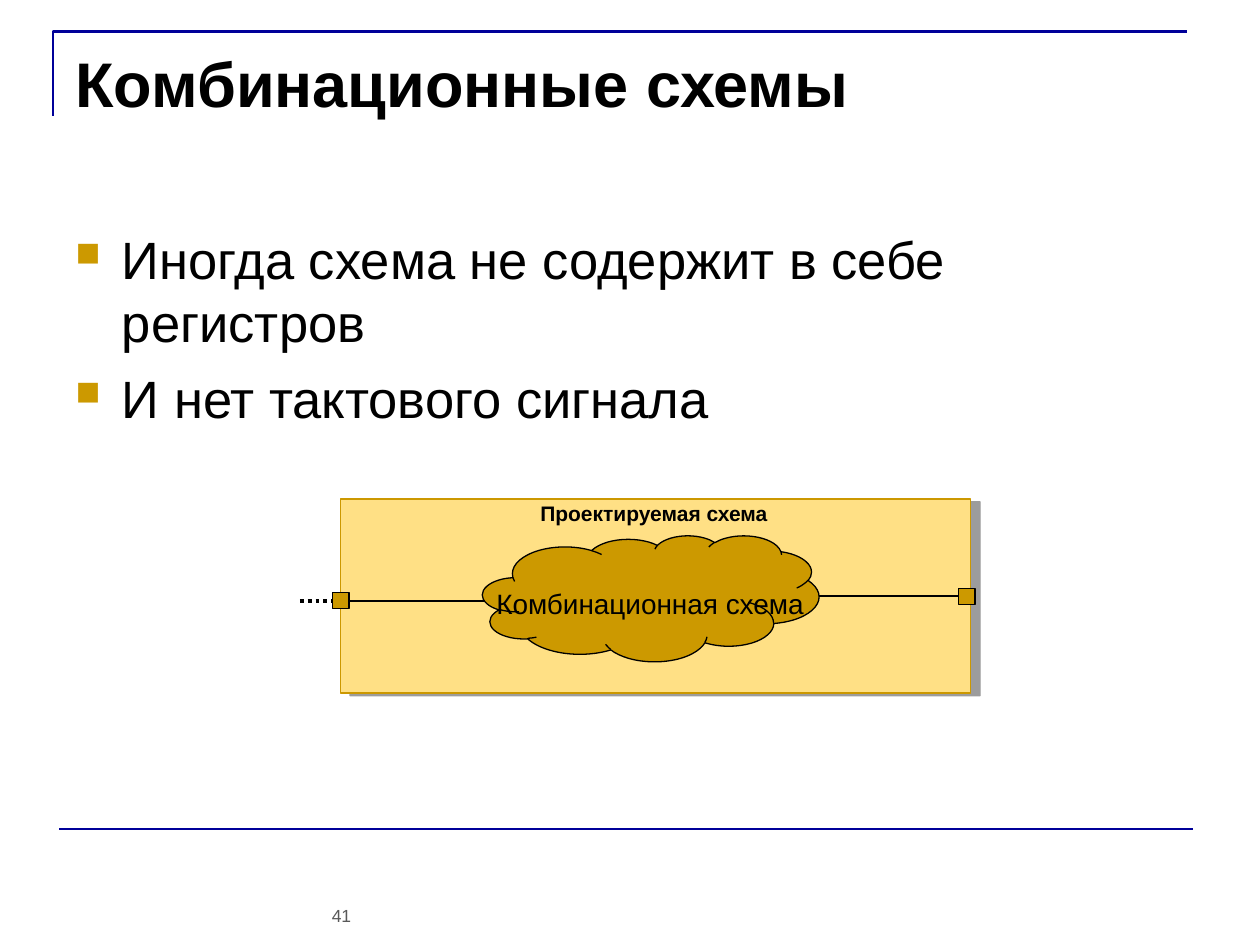
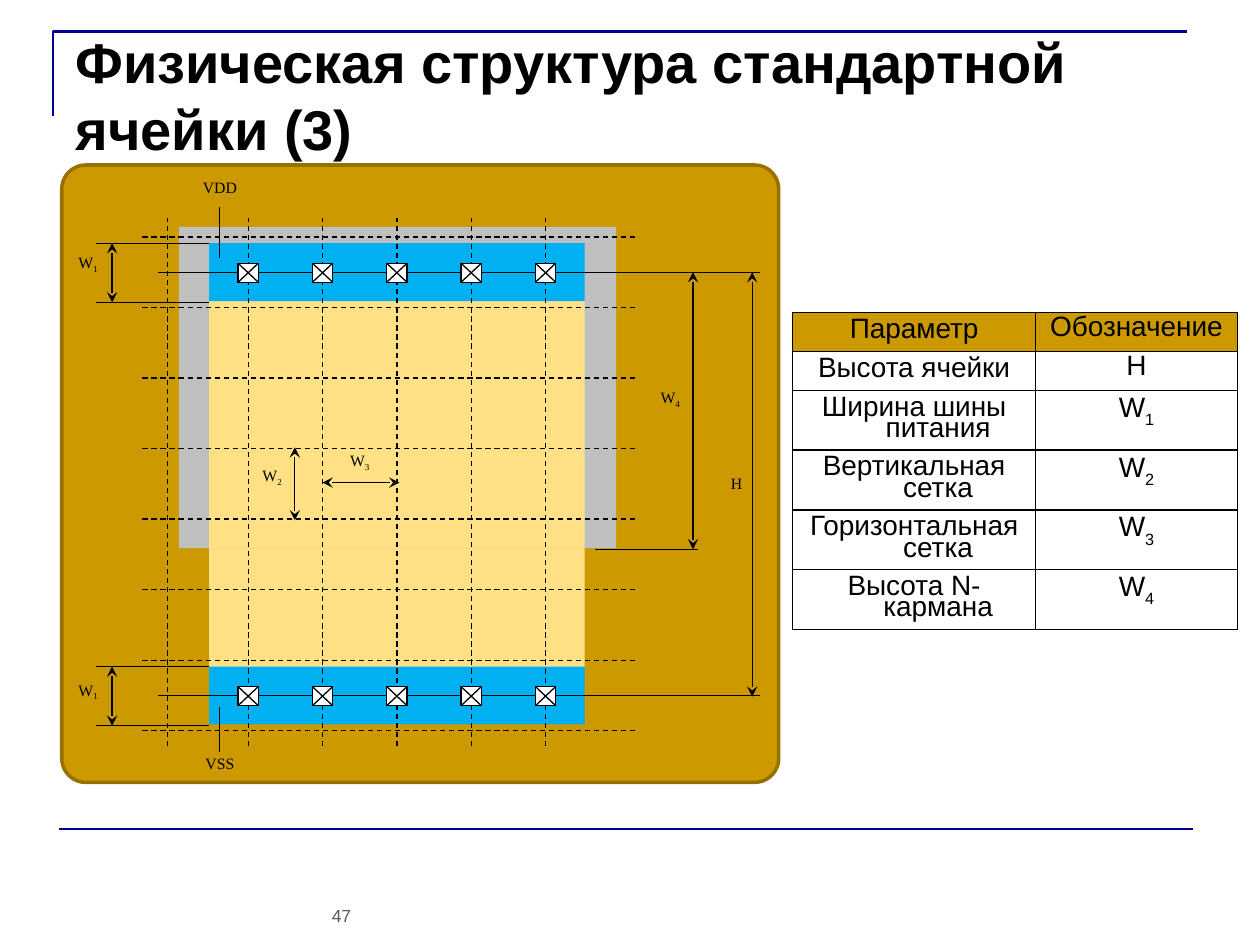
from lxml import etree
from pptx import Presentation
from pptx.dml.color import RGBColor
from pptx.enum.dml import MSO_LINE
from pptx.enum.shapes import MSO_CONNECTOR, MSO_SHAPE
from pptx.enum.text import MSO_ANCHOR, PP_ALIGN
from pptx.oxml import parse_xml
from pptx.oxml.ns import nsdecls, qn
from pptx.util import Inches, Pt

STRAIGHT = MSO_CONNECTOR.STRAIGHT
RECTANGLE, ROUNDED, CLOUD = MSO_SHAPE.RECTANGLE, MSO_SHAPE.ROUNDED_RECTANGLE, MSO_SHAPE.CLOUD
DASH, DOT = MSO_LINE.DASH, MSO_LINE.ROUND_DOT
LEFT, CENTER = PP_ALIGN.LEFT, PP_ALIGN.CENTER
TOP, MIDDLE = MSO_ANCHOR.TOP, MSO_ANCHOR.MIDDLE

BLACK, WHITE, NAVY, GRAY = "000000", "FFFFFF", "000099", "595959"
GOLD, DARK_GOLD, CREAM = "CC9900", "977100", "FFE085"
WELL_GRAY, RAIL_BLUE = "BFBFBF", "00B0F0"
SANS, SERIF = "Arial", "Times New Roman"


def color(value):
    return RGBColor.from_string(value)


def add_xml(parent, xml):
    """Append a DrawingML element whose opening tag carries {ns} for the namespace."""
    parent.append(parse_xml(xml.format(ns=nsdecls("a"))))


class Deck:
    """Holds the shared style and the slide being drawn."""

    def __init__(self):
        self.presentation = Presentation()
        self.presentation.slide_width = Inches(10)
        self.presentation.slide_height = Inches(7.5)
        self.slide = None

    def new_slide(self, number):
        self.slide = self.presentation.slides.add_slide(self.presentation.slide_layouts[6])
        builder = self.slide.shapes.build_freeform(Inches(0.42), Inches(0.92))
        corner = [(Inches(0.42), Inches(0.25)), (Inches(9.42), Inches(0.25))]
        builder.add_line_segments(corner, close=False)
        self.paint(builder.convert_to_shape(), None, NAVY, 1.5)
        self.line(0.47, 6.58, 9.47, 6.58, 1.5, NAVY)
        self.text(2.5, 7.13, 0.42, 0.27, [number], 10, GRAY, align=CENTER)

    def title(self, text, top, width, size):
        self.text(0.5, top, width, 1.25, [text], size, bold=True)

    def paint(self, shape, fill, line=None, width=0.75):
        shape.shadow.inherit = False
        if fill:
            shape.fill.solid()
            shape.fill.fore_color.rgb = color(fill)
        else:
            shape.fill.background()
        if line:
            shape.line.color.rgb = color(line)
            shape.line.width = Pt(width)
        else:
            shape.line.fill.background()

    def shape(self, kind, left, top, width, height, fill, line=None, line_width=0.75, rounding=None):
        shape = self.slide.shapes.add_shape(
            kind, Inches(left), Inches(top), Inches(width), Inches(height))
        if rounding is not None:
            shape.adjustments[0] = rounding
        self.paint(shape, fill, line, line_width)
        return shape

    def drop_shadow(self, shape):
        effects = shape._element.spPr.find(qn("a:effectLst"))
        add_xml(effects, '<a:outerShdw {ns} blurRad="0" dist="74930" dir="960000" algn="tl" '
                         'rotWithShape="0"><a:srgbClr val="000000"><a:alpha val="38000"/>'
                         '</a:srgbClr></a:outerShdw>')

    def line(self, x1, y1, x2, y2, width=0.75, line_color=BLACK, dash=None, arrows=False):
        connector = self.slide.shapes.add_connector(
            STRAIGHT, Inches(x1), Inches(y1), Inches(x2), Inches(y2))
        connector.line.color.rgb = color(line_color)
        connector.line.width = Pt(width)
        if dash:
            connector.line.dash_style = dash
        if arrows:
            for end in ("headEnd", "tailEnd"):
                add_xml(connector.line._get_or_add_ln(), f'<a:{end} {{ns}} type="stealth"/>')
        etree.SubElement(connector._element.spPr, qn("a:effectLst"))

    def style(self, paragraph, text, size, text_color=BLACK, font=SANS, bold=False,
              align=LEFT, drop=-25):
        """Write text in one paragraph; what follows an underscore becomes a subscript."""
        paragraph.alignment = align
        paragraph.font.name = font
        paragraph.font.size = Pt(size)
        paragraph.font.bold = bold
        paragraph.font.color.rgb = color(text_color)
        base, _, subscript = text.partition("_")
        paragraph.add_run().text = base
        if subscript:
            run = paragraph.add_run()
            run.text = subscript
            run._r.get_or_add_rPr().set("baseline", str(drop * 1000))

    def text(self, left, top, width, height, lines, size, text_color=BLACK, bulleted=False, **style):
        box = self.slide.shapes.add_textbox(
            Inches(left), Inches(top), Inches(width), Inches(height))
        frame = box.text_frame
        frame.word_wrap = True
        for index, line in enumerate(lines):
            paragraph = frame.add_paragraph() if index else frame.paragraphs[0]
            if index:
                paragraph.space_before = Pt(7.5)
            if bulleted:
                self.bullet(paragraph)
            self.style(paragraph, line, size, text_color, **style)

    def hang(self, paragraph, indent):
        properties = paragraph._p.get_or_add_pPr()
        properties.set("marL", str(Inches(indent)))
        properties.set("indent", str(-Inches(indent)))
        return properties

    def bullet(self, paragraph):
        properties = self.hang(paragraph, 0.37)
        add_xml(properties, f'<a:buClr {{ns}}><a:srgbClr val="{GOLD}"/></a:buClr>')
        add_xml(properties, '<a:buSzPct {ns} val="65000"/>')
        add_xml(properties, '<a:buChar {ns} char="■"/>')

    def label(self, left, top, width, height, text):
        self.text(left, top, width, height, [text], 9, font=SERIF, align=CENTER)

    def table(self, left, top, widths, row_height, rows):
        table = self.slide.shapes.add_table(
            len(rows), len(widths), Inches(left), Inches(top),
            Inches(sum(widths)), Inches(row_height * len(rows))).table
        table.first_row = table.horz_banding = False
        for column, width in zip(table.columns, widths):
            column.width = Inches(width)
        for row_index, row in enumerate(rows):
            for column_index, text in enumerate(row):
                cell = table.cell(row_index, column_index)
                cell.vertical_anchor = TOP if column_index else MIDDLE
                self.cell_borders(cell)
                if row_index:
                    cell.fill.background()
                else:
                    cell.fill.solid()
                    cell.fill.fore_color.rgb = color(GOLD)
                paragraph = cell.text_frame.paragraphs[0]
                self.hang(paragraph, 0.38)
                paragraph.line_spacing = 0.7
                self.style(paragraph, text, 16, align=CENTER, drop=-30)

    def cell_borders(self, cell):
        for side in "LRTB":
            add_xml(cell._tc.get_or_add_tcPr(),
                    f'<a:ln{side} {{ns}} w="12700"><a:solidFill><a:srgbClr val="{BLACK}"/>'
                    f'</a:solidFill></a:ln{side}>')

    def contact(self, left, top):
        """Square via with a cross in it."""
        width, height = 0.16, 0.15
        self.shape(RECTANGLE, left, top, width, height, WHITE, BLACK)
        self.line(left, top, left + width, top + height)
        self.line(left, top + height, left + width, top)


def combinational_slide(deck):
    deck.new_slide("41")
    deck.title("Комбинационные схемы", 0.3, 9, 36)
    deck.text(0.5, 1.75, 9, 4.61,
              ["Иногда схема не содержит в себе регистров", "И нет тактового сигнала"],
              30, bulleted=True)

    design = deck.shape(ROUNDED, 2.7, 3.96, 5, 1.54, CREAM, "CC9800", rounding=0)
    deck.drop_shadow(design)
    deck.text(4.19, 3.92, 2.06, 0.3, ["Проектируемая схема"], 12, bold=True)
    for pin_left, pin_top in ((2.64, 4.7), (7.61, 4.67)):
        deck.shape(RECTANGLE, pin_left, pin_top, 0.13, 0.13, GOLD, BLACK)
    deck.line(2.38, 4.77, 2.64, 4.77, 2.25, dash=DOT)

    cloud = deck.shape(CLOUD, 3.83, 4.25, 2.67, 1, GOLD, BLACK)
    frame = cloud.text_frame
    frame.word_wrap = False
    frame.vertical_anchor = MIDDLE
    frame.margin_left, frame.margin_top = Inches(0.28), Inches(0.17)
    deck.style(frame.paragraphs[0], "Комбинационная схема", 16, align=CENTER)
    deck.line(6.5, 4.73, 7.61, 4.73, 1.5)
    deck.line(3.85, 4.77, 2.76, 4.77, 1.5)


def cell_structure_slide(deck):
    deck.new_slide("47")
    deck.shape(ROUNDED, 0.49, 1.31, 5.69, 4.9, GOLD, DARK_GOLD, 2, rounding=0.039)
    deck.title("Физическая структура стандартной ячейки (3)", 0.17, 9.5, 32)

    cell_left, cell_width, rail_height = 1.66, 2.98, 0.46
    rail_tops = (1.93, 5.29)
    rail_axes = (2.16, 5.52)
    deck.shape(RECTANGLE, cell_left, 2.4, cell_width, 2.9, CREAM)
    deck.shape(RECTANGLE, 1.42, 1.8, 3.47, 2.55, WELL_GRAY)
    deck.shape(RECTANGLE, cell_left, 2.38, cell_width, 1.97, CREAM)
    for top, axis in zip(rail_tops, rail_axes):
        deck.shape(RECTANGLE, cell_left, top, cell_width, rail_height, RAIL_BLUE)
        deck.line(1.25, axis, 6.03, axis, 0.25)

    for row in range(8):
        y = 1.88 + 0.56 * row
        deck.line(1.13, y, 5.05, y, dash=DASH)
    track_xs = [1.97 + 0.59 * column for column in range(5)]
    for x in [1.33] + track_xs:
        deck.line(x, 5.92, x, 1.73, dash=DASH)
    for axis in rail_axes:
        for x in track_xs:
            deck.contact(x - 0.08, axis - 0.07)

    for text, label_top, y1, y2 in (("VDD", 1.36, 1.64, 2.05), ("VSS", 5.93, 5.61, 5.97)):
        deck.line(1.74, y1, 1.74, y2)
        deck.label(1.4, label_top, 0.69, 0.31, text)

    for top in rail_tops:
        bottom = top + 0.47
        for y in (top, bottom):
            deck.line(cell_left, y, 0.76, y, 0.5)
        deck.line(0.89, top, 0.89, bottom, arrows=True)
    deck.line(5.54, 4.36, 4.72, 4.36, 0.5)

    for dimension in ((2.34, 3.55, 2.34, 4.13), (2.56, 3.83, 3.17, 3.83),
                      (5.5, 2.16, 5.5, 4.36), (5.97, 2.16, 5.97, 5.53)):
        deck.line(*dimension, arrows=True)
    for label in ((0.35, 1.96, 0.7, 0.37, "W_1"), (0.35, 5.35, 0.7, 0.34, "W_1"),
                  (1.78, 3.65, 0.76, 0.39, "W_2"), (2.51, 3.53, 0.69, 0.35, "W_3"),
                  (4.96, 3.03, 0.72, 0.39, "W_4"), (5.5, 3.71, 0.69, 0.31, "H")):
        deck.label(*label)

    deck.table(6.29, 2.48, (1.93, 1.6), 0.31, (
        ("Параметр", "Обозначение"),
        ("Высота ячейки", "H"),
        ("Ширина шины питания", "W_1"),
        ("Вертикальная сетка", "W_2"),
        ("Горизонтальная сетка", "W_3"),
        ("Высота N-кармана", "W_4"),
    ))


def main():
    deck = Deck()
    combinational_slide(deck)
    cell_structure_slide(deck)
    deck.presentation.save("out.pptx")


if __name__ == "__main__":
    main()
